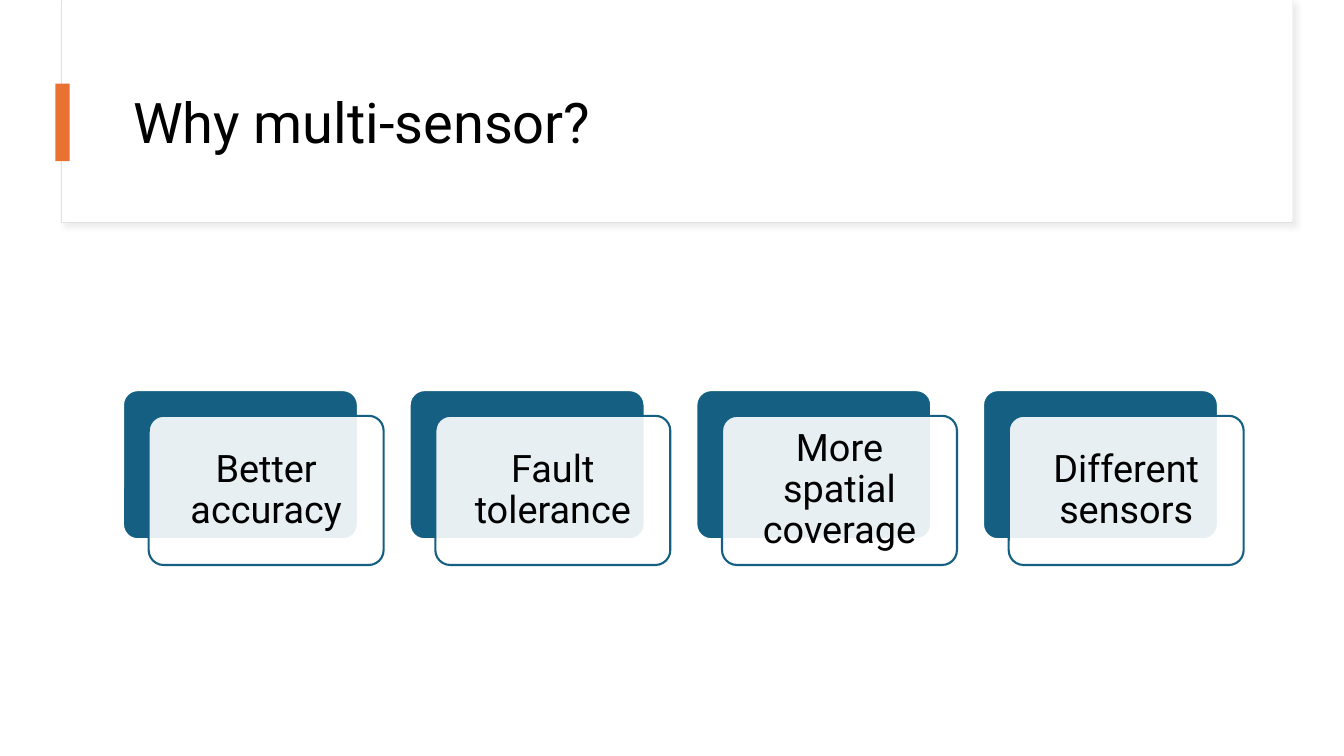
from lxml.etree import SubElement
from pptx import Presentation
from pptx.dml.color import RGBColor
from pptx.enum.shapes import MSO_SHAPE
from pptx.enum.text import MSO_ANCHOR, PP_ALIGN
from pptx.oxml import parse_xml
from pptx.oxml.ns import nsdecls, qn
from pptx.util import Inches, Pt

# Content
TITLE = "Why multi-sensor?"
REASONS = ["Better accuracy", "Fault tolerance", "More spatial coverage", "Different sensors"]

# Style
FONT = "Roboto"
BLACK, WHITE, GREY, ORANGE, BLUE = "000000", "FFFFFF", "E1E1E1", "E97132", "156082"

# Card layout
FIRST_LEFT, LAST_LEFT, CARD_TOP = 1.22, 9.75, 3.87
CARD_W, CARD_H, OFFSET = 2.33, 1.48, 0.255
PITCH = (LAST_LEFT - FIRST_LEFT) / (len(REASONS) - 1)


def rgb(value):
    return RGBColor.from_string(value)


def add_box(s, kind, left, top, width, height, fill, line=None, line_width=1.5):
    sp = s.shapes.add_shape(kind, Inches(left), Inches(top), Inches(width), Inches(height))
    sp.shadow.inherit = False
    sp.fill.solid()
    sp.fill.fore_color.rgb = rgb(fill)
    if line:
        sp.line.color.rgb = rgb(line)
        sp.line.width = Pt(line_width)
    else:
        sp.line.fill.background()
    return sp


def add_card(s, left, top, fill, line):
    sp = add_box(s, MSO_SHAPE.ROUNDED_RECTANGLE, left, top, CARD_W, CARD_H, fill, line)
    sp.adjustments[0] = 0.1
    return sp


def set_text(sp, text, size, align, inset):
    tf = sp.text_frame
    tf.text = text
    tf.word_wrap = True
    tf.vertical_anchor = MSO_ANCHOR.MIDDLE
    tf.margin_left = tf.margin_right = Inches(inset)
    tf.margin_top = tf.margin_bottom = Inches(inset)
    p = tf.paragraphs[0]
    p.alignment = align
    p.line_spacing = 0.9
    r = p.runs[0]
    r.font.name = FONT
    r.font.size = Pt(size)
    r.font.color.rgb = rgb(BLACK)


def add_soft_shadow(sp):
    effects = sp.element.spPr.find(qn("a:effectLst"))
    effects.append(parse_xml(
        f'<a:outerShdw {nsdecls("a")} blurRad="50800" dist="38100" dir="2700000" algn="tl" '
        'rotWithShape="0"><a:srgbClr val="D9D9D9"><a:alpha val="50000"/></a:srgbClr>'
        '</a:outerShdw>'))


def set_opacity(sp, percent):
    color = sp.element.spPr.find(qn("a:solidFill")).find(qn("a:srgbClr"))
    SubElement(color, qn("a:alpha")).set("val", str(percent * 1000))


def main():
    prs = Presentation()
    prs.slide_width, prs.slide_height = Inches(13.33), Inches(7.5)
    s = prs.slides.add_slide(prs.slide_layouts[5])

    # Title panel
    panel = add_box(s, MSO_SHAPE.RECTANGLE, 0.61, 0, 12.21, 2.21, WHITE, GREY, 0.75)
    add_soft_shadow(panel)
    add_box(s, MSO_SHAPE.RECTANGLE, 0.62, 0, 12.2, 2.2, WHITE)

    # Title, brought in front of the panel
    title = s.shapes.title
    title.left, title.top = Inches(1.22), Inches(0.6)
    title.width, title.height = Inches(11.12), Inches(1.29)
    set_text(title, TITLE, 40, PP_ALIGN.LEFT, 0.1)
    title.element.getparent().append(title.element)

    # Accent bar
    add_box(s, MSO_SHAPE.RECTANGLE, 0.55, 0.83, 0.14, 0.77, ORANGE)

    # Reason cards: a solid back and a translucent front
    for i, reason in enumerate(REASONS):
        left = FIRST_LEFT + i * PITCH
        add_card(s, left, CARD_TOP, BLUE, WHITE)
        front = add_card(s, left + OFFSET, CARD_TOP + OFFSET, WHITE, BLUE)
        set_opacity(front, 90)
        set_text(front, reason, 27, PP_ALIGN.CENTER, 0.11)

    prs.save("out.pptx")


if __name__ == "__main__":
    main()
